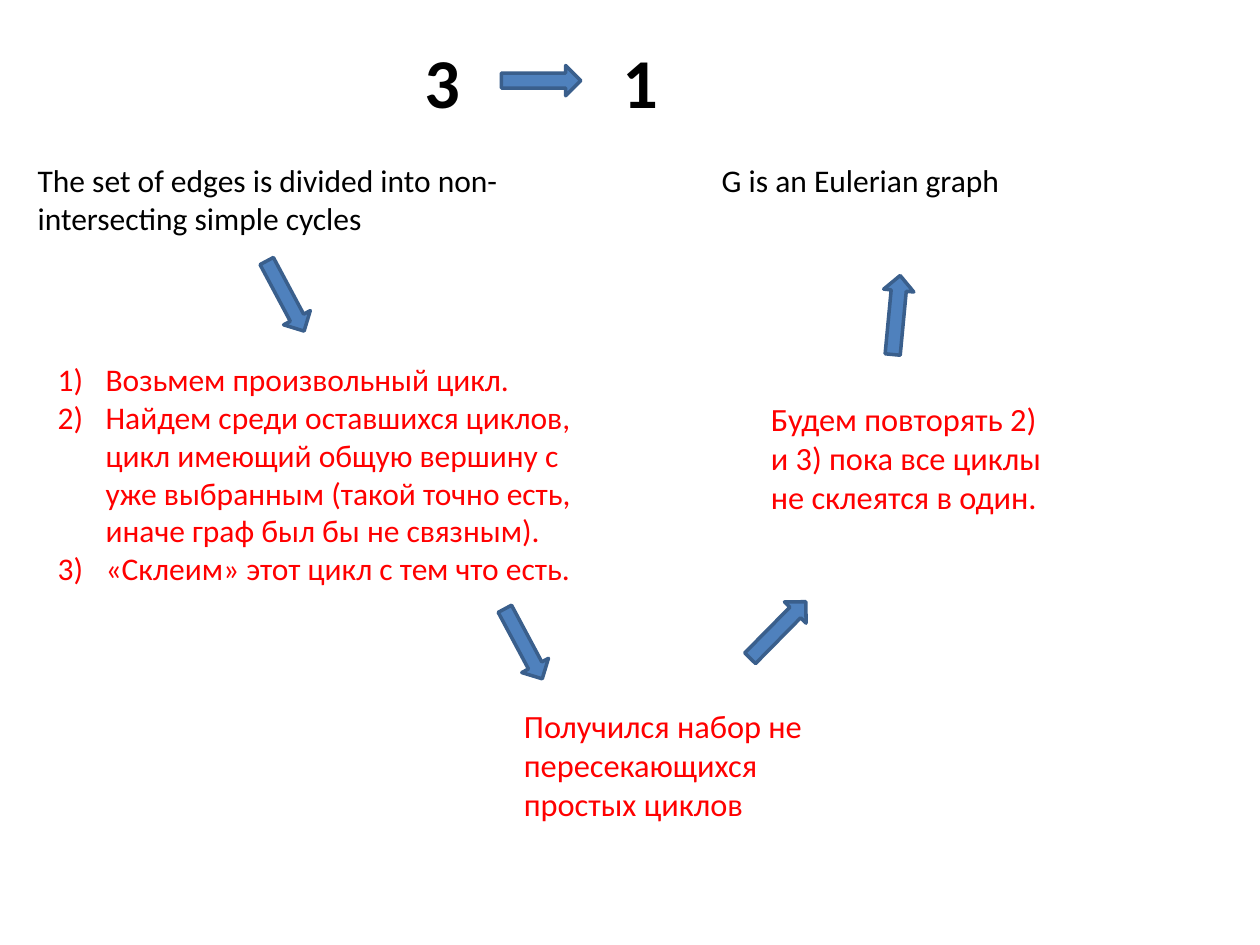
from lxml import etree
from pptx import Presentation
from pptx.dml.color import RGBColor
from pptx.enum.shapes import MSO_SHAPE
from pptx.enum.text import MSO_ANCHOR
from pptx.oxml.ns import qn
from pptx.util import Inches, Pt

RIGHT_ARROW = MSO_SHAPE.RIGHT_ARROW
TOP, MIDDLE = MSO_ANCHOR.TOP, MSO_ANCHOR.MIDDLE

presentation = Presentation()
presentation.slide_width, presentation.slide_height = Inches(10), Inches(7.5)
slide = presentation.slides.add_slide(presentation.slide_layouts[6])

# Grid of 100 columns by 75 rows
COLUMN = presentation.slide_width / 100
ROW = presentation.slide_height / 75


def color(value):
    return RGBColor.from_string(value)


def place(left, top, width, height):
    return [int(left * COLUMN), int(top * ROW), int(width * COLUMN), int(height * ROW)]


# Text styles
heading = {"size": Pt(40), "bold": True, "color": "000000", "anchor": MIDDLE}
statement = {"size": Pt(18), "bold": False, "color": "000000", "anchor": TOP}
step = {**statement, "color": "FF0000", "numbered": True}
conclusion = {"size": Pt(18.5), "bold": False, "color": "FF0000", "anchor": MIDDLE}

texts = [
    # Heading: 3 implies 1
    ((32.7, 1.3, 4.7, 10.2), heading, ["3"]),
    ((48.4, 1.3, 3.9, 10.2), heading, ["1"]),
    # The two equivalent statements
    ((2, 12.3, 40.2, 7.1), statement,
     ["The set of edges is divided into non-intersecting simple cycles"]),
    ((56.3, 12.3, 39.4, 4), statement, ["G is an Eulerian graph"]),
    # Proof
    ((3.6, 28.1, 43.2, 19.2), step, [
        "Возьмем произвольный цикл.",
        "Найдем среди оставшихся циклов, цикл имеющий общую вершину с уже "
        "выбранным (такой точно есть, иначе граф был бы не связным).",
        "«Склеим» этот цикл с тем что есть.",
    ]),
    ((40.6, 55.6, 24.4, 10.2), conclusion,
     ["Получился набор не пересекающихся простых циклов"]),
    ((60.2, 31.2, 24.4, 10.2), conclusion,
     ["Будем повторять 2) и 3) пока все циклы не склеятся в один."]),
]

for position, style, lines in texts:
    text_frame = slide.shapes.add_textbox(*place(*position)).text_frame
    text_frame.word_wrap = True
    text_frame.vertical_anchor = style["anchor"]
    text_frame.text = "\n".join(lines)
    for paragraph in text_frame.paragraphs:
        if style.get("numbered"):
            properties = paragraph._p.get_or_add_pPr()
            properties.set("marL", str(Inches(0.38)))
            properties.set("indent", str(-Inches(0.38)))
            etree.SubElement(properties, qn("a:buFont"), typeface="+mj-lt")
            etree.SubElement(properties, qn("a:buAutoNum"), type="arabicParenR")
        font = paragraph.runs[0].font
        for name, value in {"name": "Calibri", "size": style["size"],
                            "bold": style["bold"]}.items():
            setattr(font, name, value)
        font.color.rgb = color(style["color"])

# Arrows of equal size: left, top, rotation
arrows = [
    (39.8, 5.2, 0),
    (19.5, 22.3, 61.9),
    (38.4, 49.9, 61.9),
    (58.6, 48.8, 314.6),
    (68, 23.8, 275.4),
]
for left, top, rotation in arrows:
    arrow = slide.shapes.add_shape(RIGHT_ARROW, *place(left, top, 6.3, 2.4))
    arrow.rotation = rotation
    arrow.shadow.inherit = False
    arrow.fill.solid()
    arrow.fill.fore_color.rgb = color("4F81BD")
    arrow.line.color.rgb = color("3A5F8C")
    arrow.line.width = Pt(2)

presentation.save("out.pptx")
